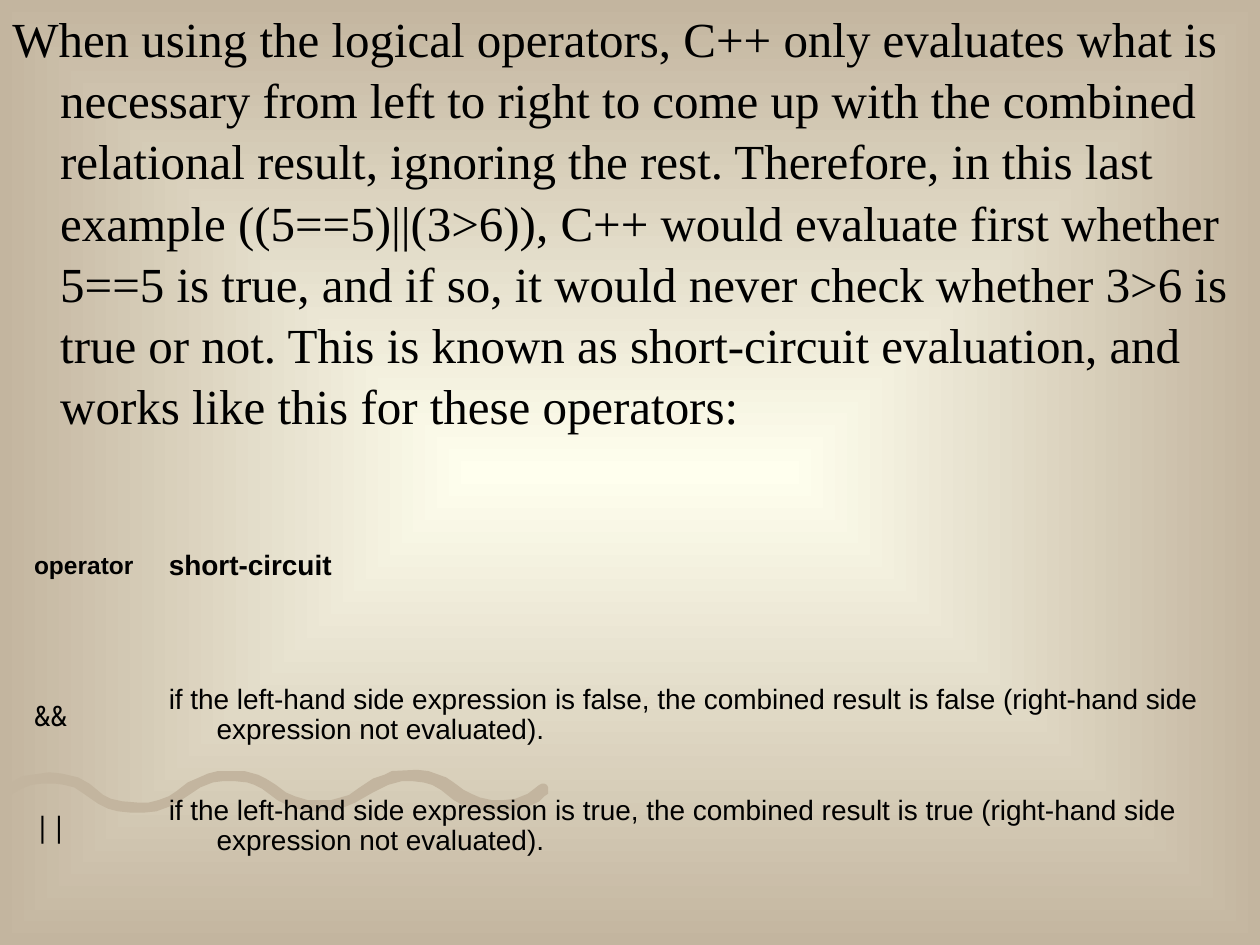
from dataclasses import dataclass

from lxml import etree
from pptx import Presentation
from pptx import util as u
from pptx.dml.color import RGBColor
from pptx.enum import text
from pptx.oxml.ns import qn

CREAM, TAN, BLACK = "FFFFEE", "C3B59F", "000000"
SERIF, SANS, MONO = "Times New Roman", "Arial", "Noto Sans Mono"
NO_STYLE = "{2D5ABB26-0587-4C30-8999-92F81FD0307C}"
HANGING = u.Inches(0.38)


@dataclass
class Words:
    content: str
    size: int
    font: str
    bold: bool = False
    spacing: float = 0.96


INTRO = Words(
    "When using the logical operators, C++ only evaluates what is necessary from left "
    "to right to come up with the combined relational result, ignoring the rest. "
    "Therefore, in this last example ((5==5)||(3>6)), C++ would evaluate first whether "
    "5==5 is true, and if so, it would never check whether 3>6 is true or not. This is "
    "known as short-circuit evaluation, and works like this for these operators:",
    28, SERIF, spacing=1.04)


def rule(outcome: str) -> Words:
    return Words(
        f"if the left-hand side expression is {outcome}, the combined result is {outcome} "
        "(right-hand side expression not evaluated).", 16, SANS)


COLUMNS = (1.07, 8.77)
ROW_HEIGHTS = (1.49, 0.88, 0.88)
ROWS = (
    (Words("operator", 14, SANS, True), Words("short-circuit", 16, SANS, True)),
    (Words("&&", 16, MONO), rule("false")),
    (Words("||", 16, MONO), rule("true")),
)

# Brush stroke: upper edge left to right, rounded tip, lower edge back
WAVE = (
    (0.01, 6.28), (0.07, 6.22), (0.18, 6.16), (0.25, 6.15), (0.39, 6.13), (0.49, 6.14),
    (0.62, 6.17), (0.71, 6.22), (0.82, 6.31), (0.88, 6.34), (0.97, 6.36), (1.09, 6.37),
    (1.18, 6.37), (1.26, 6.35), (1.34, 6.32), (1.4, 6.28), (1.49, 6.21), (1.56, 6.18),
    (1.65, 6.14), (1.73, 6.12), (1.94, 6.12), (2.05, 6.15), (2.11, 6.18), (2.19, 6.23),
    (2.27, 6.29), (2.34, 6.32), (2.44, 6.35), (2.63, 6.35), (2.77, 6.31), (2.84, 6.26),
    (2.96, 6.18), (3.05, 6.15), (3.11, 6.12), (3.31, 6.11), (3.4, 6.12), (3.54, 6.17),
    (3.6, 6.21), (3.68, 6.27), (3.74, 6.3), (3.81, 6.33), (3.9, 6.35), (4, 6.35),
    (4.09, 6.34), (4.19, 6.3), (4.28, 6.23), (4.3, 6.22), (4.32, 6.22), (4.34, 6.23),
    (4.35, 6.25), (4.35, 6.3), (4.32, 6.32), (4.28, 6.36), (4.22, 6.39), (4.16, 6.41),
    (4.08, 6.43), (3.99, 6.44), (3.81, 6.43), (3.67, 6.39), (3.6, 6.35), (3.5, 6.27),
    (3.43, 6.23), (3.36, 6.21), (3.27, 6.2), (3.19, 6.2), (3.08, 6.23), (2.96, 6.29),
    (2.82, 6.37), (2.75, 6.4), (2.66, 6.43), (2.56, 6.44), (2.49, 6.44), (2.39, 6.43),
    (2.3, 6.4), (2.2, 6.35), (2.08, 6.26), (2.02, 6.23), (1.96, 6.21), (1.86, 6.2),
    (1.77, 6.2), (1.69, 6.21), (1.59, 6.25), (1.44, 6.35), (1.35, 6.4), (1.24, 6.44),
    (1.14, 6.45), (1.04, 6.45), (0.94, 6.44), (0.86, 6.42), (0.78, 6.38), (0.65, 6.29),
    (0.59, 6.25), (0.51, 6.23), (0.44, 6.22), (0.33, 6.22), (0.25, 6.23), (0.17, 6.26),
    (0.1, 6.3), (0, 6.39),
)


def colour(value: str) -> RGBColor:
    return RGBColor.from_string(value)


def write(frame, words: Words) -> None:
    frame.word_wrap = True
    para = frame.paragraphs[0]
    para.alignment = text.PP_ALIGN.LEFT
    para.line_spacing = words.spacing
    properties = para._p.get_or_add_pPr()
    properties.set("marL", str(HANGING))
    properties.set("indent", str(-HANGING))
    span = para.add_run()
    span.text = words.content
    span.font.size = u.Pt(words.size)
    span.font.name = words.font
    span.font.bold = words.bold
    span.font.color.rgb = colour(BLACK)


def paint_background(page) -> None:
    fill = page.background.fill
    fill.gradient()
    for stop, position, value in zip(fill.gradient_stops, (0, 1), (CREAM, TAN)):
        stop.position = position
        stop.color.rgb = colour(value)
    gradient = page.element.find(".//" + qn("a:gradFill"))
    gradient.remove(gradient.find(qn("a:lin")))
    glow = etree.SubElement(gradient, qn("a:path"), {"path": "rect"})
    etree.SubElement(glow, qn("a:fillToRect"), dict.fromkeys("ltrb", "50000"))


def draw_wave(page) -> None:
    points = [(u.Inches(x), u.Inches(y)) for x, y in WAVE]
    builder = page.shapes.build_freeform(*points[0])
    builder.add_line_segments(points[1:], close=True)
    wave = builder.convert_to_shape()
    wave.shadow.inherit = False
    wave.fill.solid()
    wave.fill.fore_color.rgb = colour(TAN)
    wave.line.fill.background()


def draw_table(page) -> None:
    frame = page.shapes.add_table(
        len(ROWS), len(COLUMNS), u.Inches(0.17), u.Inches(3.75),
        u.Inches(sum(COLUMNS)), u.Inches(sum(ROW_HEIGHTS)))
    table = frame.table
    table.first_row = table.horz_banding = False
    table._tbl.tblPr.find(qn("a:tableStyleId")).text = NO_STYLE
    for column, width in zip(table.columns, COLUMNS):
        column.width = u.Inches(width)
    for row, height, entries in zip(table.rows, ROW_HEIGHTS, ROWS):
        row.height = u.Inches(height)
        for cell, words in zip(row.cells, entries):
            cell.fill.background()
            cell.vertical_anchor = text.MSO_ANCHOR.MIDDLE
            write(cell.text_frame, words)


def main() -> None:
    deck = Presentation()
    deck.slide_width, deck.slide_height = u.Inches(10), u.Inches(7.5)
    page = deck.slides.add_slide(deck.slide_layouts[6])

    # Backdrop
    paint_background(page)
    draw_wave(page)

    # Explanation
    box = page.shapes.add_textbox(0, 0, u.Inches(10), u.Inches(3.75))
    write(box.text_frame, INTRO)

    # Operators
    draw_table(page)
    deck.save("out.pptx")


if __name__ == "__main__":
    main()
